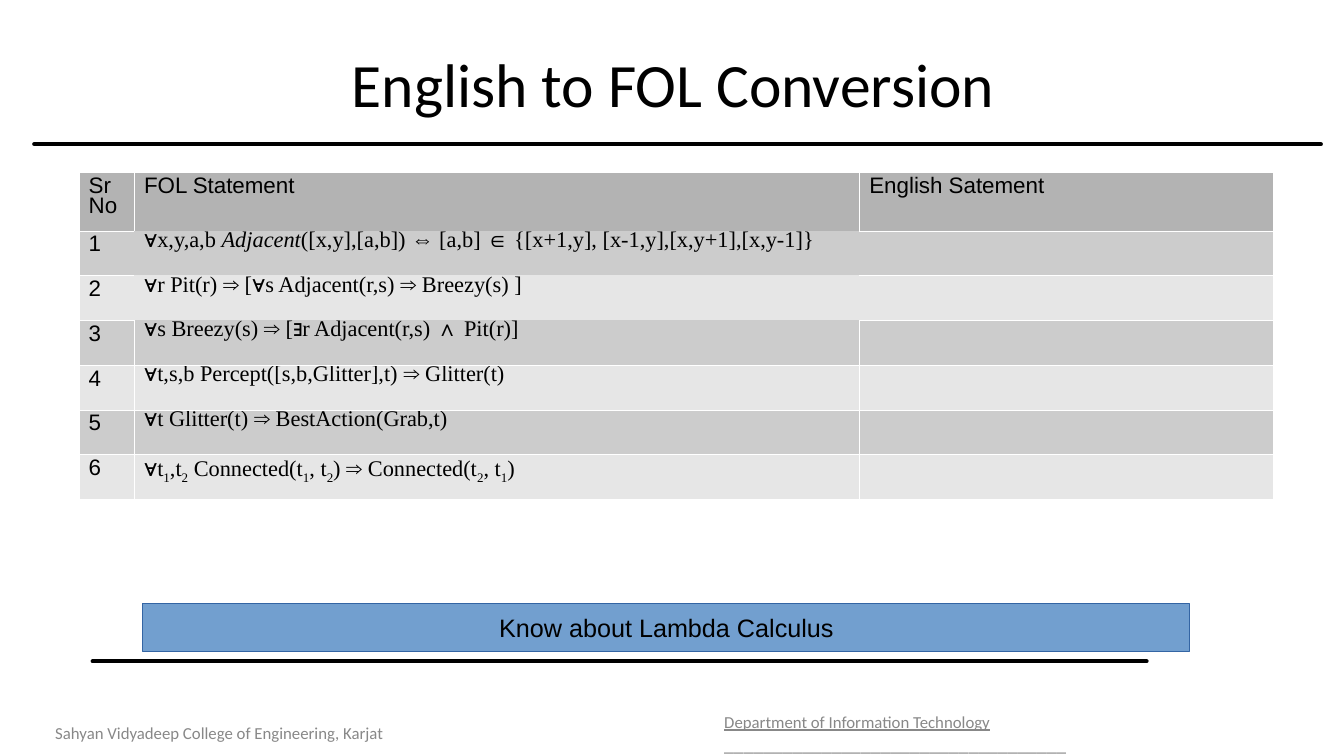
from lxml.etree import SubElement
from pptx import Presentation
from pptx.dml.color import RGBColor
from pptx.enum.shapes import MSO_CONNECTOR as Connector, MSO_SHAPE as Shape
from pptx.enum.text import MSO_ANCHOR as Anchor, PP_ALIGN as Align
from pptx.oxml.ns import qn
from pptx.util import Inches, Pt

COLORS = {"ink": "000000", "muted": "888888", "box": "729FCF", "box_line": "3465A4",
          "header": "B3B3B3", "odd": "CCCCCC", "even": "E6E6E6", "border": "FFFFFF"}
SYMBOLS = "∀⇔∈⇒∧"
BORDERLESS = {(1, 1), (2, 1)}
SIDES = {"lnL": (0, -1), "lnR": (0, 1), "lnT": (-1, 0), "lnB": (1, 0)}
COLUMNS = [4.12, 53.97, 30.81]
ROWS = [7.73] + [5.92] * 6
HEADINGS = ["Sr No", "FOL Statement", "English Satement"]
STATEMENTS = [
    "∀|x,y,a,b |/Adjacent|([x,y],[a,b]) |⇔| [a,b] |∈| {[x+1,y], [x-1,y],[x,y+1],[x,y-1]}",
    "∀|r Pit(r) |⇒| [|∀|s Adjacent(r,s) |⇒| Breezy(s) ]",
    "∀|s Breezy(s) |⇒| [∃r Adjacent(r,s) |∧| Pit(r)]",
    "∀|t,s,b Percept([s,b,Glitter],t) |⇒| Glitter(t)",
    "∀|t Glitter(t) |⇒| BestAction(Grab,t)",
    "∀|t|_1|,t|_2| Connected(t|_1|, t|_2|) |⇒| Connected(t|_2|, t|_1|)",
]


def rgb(name):
    return RGBColor.from_string(COLORS[name])


class Deck:
    def __init__(self):
        self.prs = Presentation()
        self.prs.slide_width, self.prs.slide_height = Inches(13.34), Inches(7.5)
        self.s = self.prs.slides.add_slide(self.prs.slide_layouts[5])

    def x(self, share):
        return int(self.prs.slide_width * share / 100)

    def y(self, share):
        return int(self.prs.slide_height * share / 100)

    def area(self, left, top, width, height):
        return self.x(left), self.y(top), self.x(width), self.y(height)

    def style(self, p, size, font="Arial", color="ink", align=Align.LEFT):
        p.alignment = align
        p.font.size, p.font.name = Pt(size), font
        p.font.color.rgb = rgb(color)

    def title(self, text, *area):
        sp = self.s.shapes.title
        sp.left, sp.top, sp.width, sp.height = self.area(*area)
        tf = sp.text_frame
        tf.text, tf.vertical_anchor = text, Anchor.MIDDLE
        self.style(tf.paragraphs[0], 44, "Calibri", align=Align.CENTER)

    def rule(self, left, right, top):
        line = self.s.shapes.add_connector(
            Connector.STRAIGHT, self.x(left), self.y(top), self.x(right), self.y(top))
        line.line.color.rgb, line.line.width = rgb("ink"), Pt(3)
        props = line._element.spPr
        props.find(qn("a:ln")).set("cap", "rnd")
        SubElement(props, qn("a:effectLst"))

    def footer(self, *area):
        tf = self.s.shapes.add_textbox(*self.area(*area)).text_frame
        tf.word_wrap, tf.vertical_anchor = True, Anchor.MIDDLE
        p = tf.paragraphs[0]
        self.style(p, 12, "Calibri", "muted")
        return p

    def banner(self, text, *area):
        sp = self.s.shapes.add_shape(Shape.RECTANGLE, *self.area(*area))
        sp.shadow.inherit = False
        sp.fill.solid()
        sp.fill.fore_color.rgb = rgb("box")
        sp.line.color.rgb, sp.line.width = rgb("box_line"), Pt(0.75)
        tf = sp.text_frame
        tf.text, tf.vertical_anchor = text, Anchor.MIDDLE
        self.style(tf.paragraphs[0], 18, align=Align.CENTER)

    def border(self, cell, row, col):
        props = cell._tc.get_or_add_tcPr()
        for side, (down, right) in SIDES.items():
            ln = SubElement(props, qn(f"a:{side}"), w=str(Pt(0.06)))
            if BORDERLESS & {(row, col), (row + down, col + right)}:
                SubElement(ln, qn("a:noFill"))
            else:
                fill = SubElement(ln, qn("a:solidFill"))
                SubElement(fill, qn("a:srgbClr"), val=COLORS["border"])

    def formula(self, p, text):
        for piece in text.split("|"):
            r = p.add_run()
            r.text = piece.lstrip("/_")
            r.font.name = "Arial" if piece in SYMBOLS else "Times New Roman"
            if piece.startswith("/"):
                r.font.italic = True
            if piece.startswith("_"):
                r.font._element.set("baseline", "-25000")

    def table(self, left, top):
        area = self.area(left, top, sum(COLUMNS), sum(ROWS))
        table = self.s.shapes.add_table(len(ROWS), len(COLUMNS), *area).table
        table.first_row = table.horz_banding = False
        for column, width in zip(table.columns, COLUMNS):
            column.width = self.x(width)
        for row, height in enumerate(ROWS):
            table.rows[row].height = self.y(height)
            fill = "header" if row == 0 else "odd" if row % 2 else "even"
            for col in range(len(COLUMNS)):
                cell = table.cell(row, col)
                self.border(cell, row, col)
                cell.fill.solid()
                cell.fill.fore_color.rgb = rgb(fill)
                p = cell.text_frame.paragraphs[0]
                self.style(p, 16)
                p.line_spacing = 0.81
                if row == 0:
                    p.text = HEADINGS[col]
                elif col == 0:
                    p.text = str(row)
                elif col == 1:
                    p.line_spacing = 0.76 if row == len(STATEMENTS) else 0.58
                    self.formula(p, STATEMENTS[row - 1])


def main():
    deck = Deck()
    deck.title("English to FOL Conversion", 6.45, 5.73, 87.33, 10.53)
    deck.rule(2.55, 98.28, 19.07)
    deck.rule(6.9, 85.31, 87.47)
    college = deck.footer(3.37, 94.27, 31.63, 5.2)
    college.text = "Sahyan Vidyadeep College of Engineering, Karjat"
    department = deck.footer(53.15, 94.27, 31.63, 5.2)
    r = department.add_run()
    r.text, r.font.underline = "Department of Information Technology", True
    r = department.add_run()
    r.text, r.font.size = " " + "_" * 35, Pt(14)
    deck.banner("Know about Lambda Calculus", 10.64, 79.87, 77.89, 6.27)
    deck.table(5.85, 22.8)
    deck.prs.save("out.pptx")


if __name__ == "__main__":
    main()
